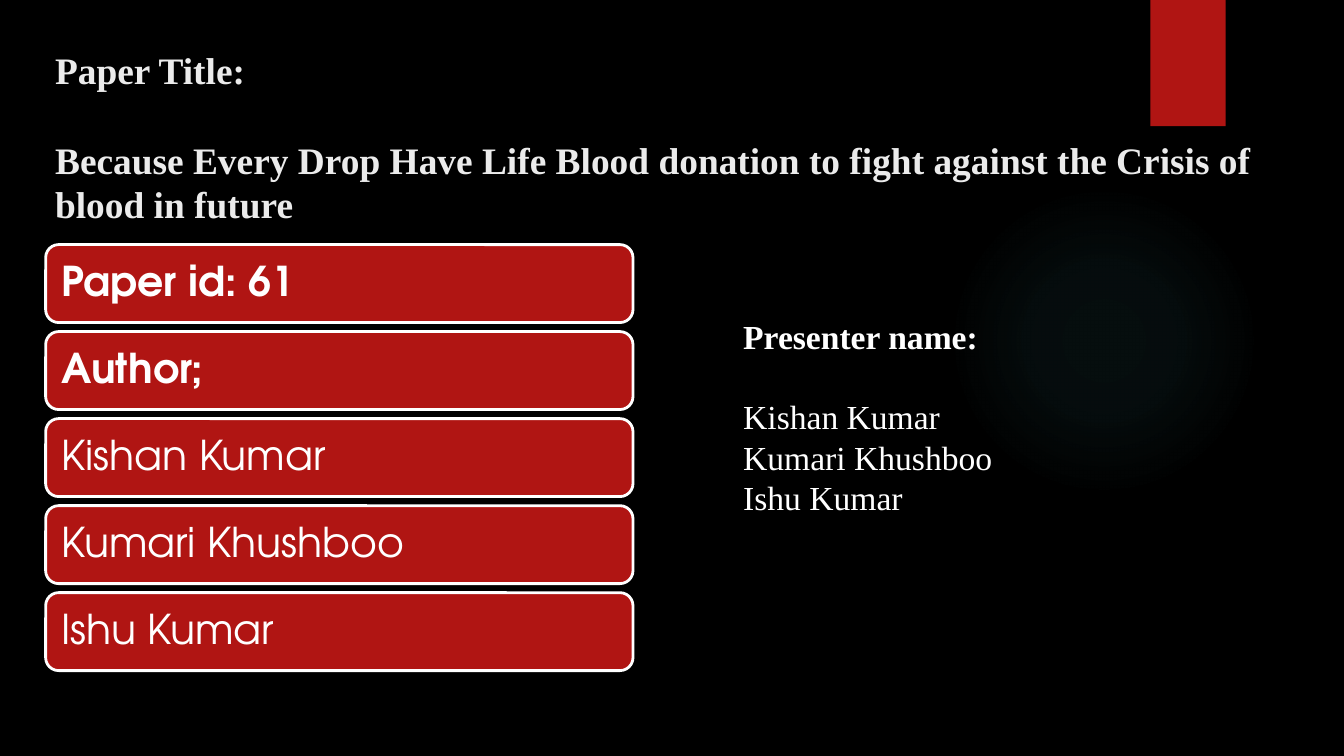
"""Build the paper title slide with its author list and presenters."""
from dataclasses import dataclass

from lxml import etree
from pptx import Presentation
from pptx import util as u
from pptx.dml.color import RGBColor
from pptx.enum import shapes, text
from pptx.oxml import parse_xml
from pptx.oxml.ns import nsdecls, qn


@dataclass(frozen=True)
class Theme:
    """Colours, fonts and type sizes of the slide."""
    background: str = "000000"
    accent: str = "B01513"
    glow: str = "50B9C1"
    heading: str = "EBEBEB"
    light: str = "FFFFFF"
    serif: str = "Times New Roman"
    sans: str = "TeX Gyre Adventor"
    title_size: int = 20
    body_size: int = 18
    card_size: int = 22


THEME = Theme()
TITLE = [
    "Paper Title:",
    "Because Every Drop Have Life Blood donation to fight against the Crisis of blood in future",
]
AUTHORS = ["Kishan Kumar", "Kumari Khushboo", "Ishu Kumar"]
CARDS = ["Paper id: 61", "Author;"] + AUTHORS
PRESENTERS = ["Presenter name:"] + AUTHORS


def box(left, top, width, height):
    """Return a position and size in inches."""
    return [u.Inches(value) for value in (left, top, width, height)]


def rgb(colour):
    """Return a colour from its hex code."""
    return RGBColor.from_string(colour)


def format_paragraph(paragraph, font, size, colour, bold, spacing=1.0):
    """Left-align a paragraph and format its runs."""
    paragraph.alignment = text.PP_ALIGN.LEFT
    paragraph.line_spacing = spacing
    paragraph.space_before = paragraph.space_after = u.Pt(0)
    for run in paragraph.runs:
        run.font.name = font
        run.font.size = u.Pt(size)
        run.font.bold = bold
        run.font.color.rgb = rgb(colour)


def fill_placeholder(placeholder, place, lines):
    """Move a placeholder and give it top-anchored lines."""
    placeholder.left, placeholder.top, placeholder.width, placeholder.height = place
    frame = placeholder.text_frame
    frame.text = "\n".join(lines)
    frame.word_wrap = True
    frame.auto_size = text.MSO_AUTO_SIZE.NONE
    frame.vertical_anchor = text.MSO_ANCHOR.TOP
    frame.margin_left = frame.margin_right = u.Inches(0.1)
    frame.margin_top = frame.margin_bottom = u.Inches(0.1)
    return frame.paragraphs


def add_title(slide):
    """Set the paper title under its label."""
    label, name = fill_placeholder(slide.shapes.title, box(0.31, 0.25, 9.35, 1.07), TITLE)
    for paragraph in (label, name):
        format_paragraph(paragraph, THEME.serif, THEME.title_size, THEME.heading, True)
    label.space_after = u.Pt(24)


def add_presenters(slide):
    """List the presenters under a bold label."""
    lines = fill_placeholder(slide.placeholders[1], box(5.28, 2.25, 4.37, 2.75), PRESENTERS)
    for index, line in enumerate(lines):
        format_paragraph(line, THEME.serif, THEME.body_size, THEME.light, index == 0)
        properties = line._p.get_or_add_pPr()
        properties.set("marL", str(u.Inches(0.15)))
        properties.set("indent", "0")
        etree.SubElement(properties, qn("a:buNone"))
    lines[0].space_after = u.Pt(21.5)


def add_block(slide, preset, place, fill):
    """Add a flat preset shape without an outline."""
    block = slide.shapes.add_shape(preset, *place)
    block.shadow.inherit = False
    block.fill.solid()
    block.fill.fore_color.rgb = rgb(fill)
    block.line.fill.background()
    return block


def add_card(slide, place, label, bold):
    """Add a rounded card with one line of text."""
    card = add_block(slide, shapes.MSO_SHAPE.ROUNDED_RECTANGLE, place, THEME.accent)
    card.line.color.rgb = rgb(THEME.light)
    card.line.width = u.Pt(1.5)
    frame = card.text_frame
    frame.text = label
    frame.word_wrap = True
    frame.vertical_anchor = text.MSO_ANCHOR.MIDDLE
    frame.margin_left = frame.margin_right = u.Inches(0.09)
    format_paragraph(frame.paragraphs[0], THEME.sans, THEME.card_size, THEME.light, bold, 0.9)


def add_cards(slide):
    """Stack the paper id and author cards at an equal pitch."""
    first, last = 1.82, 4.41
    pitch = (last - first) / (len(CARDS) - 1)
    for index, label in enumerate(CARDS):
        add_card(slide, box(0.34, first + index * pitch, 4.37, 0.58), label, index < 2)


def radial_fill(colour, stops):
    """Return a radial gradient from (position, opacity) percentages."""
    marks = "".join(
        f'<a:gs pos="{position * 1000}"><a:srgbClr val="{colour}">'
        f'<a:alpha val="{opacity * 1000}"/></a:srgbClr></a:gs>'
        for position, opacity in stops
    )
    return parse_xml(
        f'<a:gradFill {nsdecls("a")} rotWithShape="1"><a:gsLst>{marks}</a:gsLst>'
        '<a:path path="circle"><a:fillToRect l="50000" t="50000" r="50000" b="50000"/>'
        "</a:path></a:gradFill>"
    )


def add_backdrop(slide):
    """Place the faint glow and the ribbon behind the text."""
    slide.background.fill.solid()
    slide.background.fill.fore_color.rgb = rgb(THEME.background)
    ribbon = add_block(slide, shapes.MSO_SHAPE.RECTANGLE, box(8.56, 0, 0.56, 0.94), THEME.accent)
    glow = add_block(slide, shapes.MSO_SHAPE.OVAL, box(7.06, 1.38, 2.31, 2.31), THEME.glow)
    properties = glow._element.spPr
    gradient = radial_fill(THEME.glow, [(0, 7), (36, 6), (69, 0)])
    properties.replace(properties.find(qn("a:solidFill")), gradient)
    for decoration in (ribbon, glow):
        slide.shapes._spTree.insert(2, decoration._element)


def main():
    """Build and save the slide."""
    deck = Presentation()
    deck.slide_width = u.Inches(10)
    deck.slide_height = deck.slide_width * 9 // 16
    slide = deck.slides.add_slide(deck.slide_layouts[1])
    add_backdrop(slide)
    add_title(slide)
    add_presenters(slide)
    add_cards(slide)
    deck.save("out.pptx")


if __name__ == "__main__":
    main()
